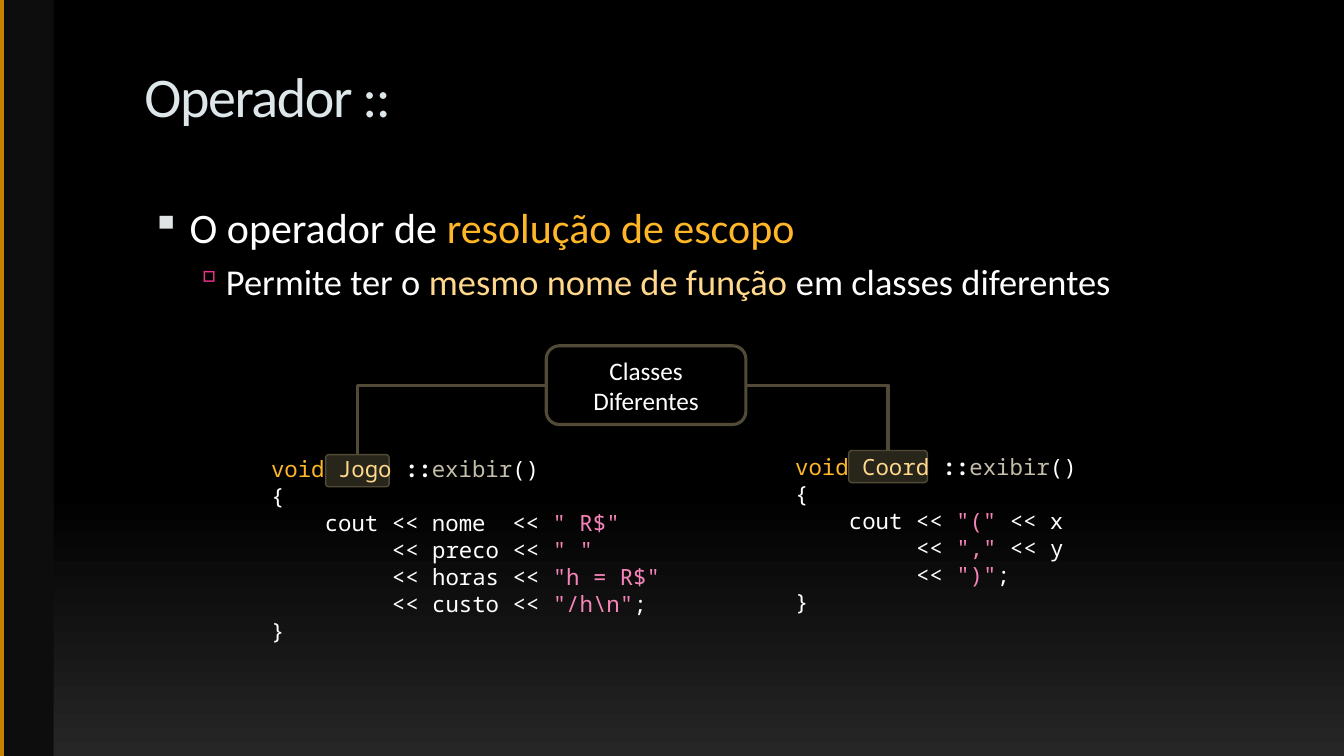
"""Build the slide about the C++ scope resolution operator."""
import pptx
import pptx.dml.color
import pptx.enum.dml
import pptx.enum.shapes
import pptx.enum.text
import pptx.oxml
import pptx.oxml.ns
import pptx.util
from lxml import etree

Pt = pptx.util.Pt
SHAPE = pptx.enum.shapes.MSO_SHAPE
ANCHOR = pptx.enum.text.MSO_ANCHOR
qn = pptx.oxml.ns.qn
COLORS = {
    "black": "000000", "gray": "262626", "panel": "0D0D0D", "stripe": "C58300",
    "title": "DDE6E8", "white": "FFFFFF", "amber": "FFB728", "cream": "FFD88B",
    "olive": "504A36", "sand": "C4BEA9", "pink": "F684B8",
    "bullet": "E0E4E5", "subbullet": "F03288",
}
CHAR = 9.6


def rgb(name):
    return pptx.dml.color.RGBColor.from_string(COLORS[name])


def add_runs(p, runs, font, size):
    for text, color in runs:
        r = p.add_run()
        r.text = text
        r.font.color.rgb = rgb(color)
        for key, value in {"name": font, "size": Pt(size), "bold": text == "::"}.items():
            setattr(r.font, key, value)


prs = pptx.Presentation()
prs.slide_width, prs.slide_height = Pt(960), Pt(540)
s = prs.slides.add_slide(prs.slide_layouts[5])

fill = s.background.fill
fill.gradient()
fill.gradient_angle = 270
for stop, (position, color) in zip(fill.gradient_stops, [(0.65, "black"), (1, "gray")]):
    stop.position = position
    stop.color.rgb = rgb(color)

panel = s.shapes.add_shape(SHAPE.RECTANGLE, Pt(0), Pt(0), Pt(38.4), Pt(540))
panel.shadow.inherit = False
panel.fill.solid()
panel.fill.fore_color.rgb = rgb("panel")
panel.line.fill.background()

stripe = s.shapes.add_connector(pptx.enum.shapes.MSO_CONNECTOR.STRAIGHT, Pt(1.5), Pt(0), Pt(1.5), Pt(540))
stripe.line.color.rgb = rgb("stripe")
stripe.line.width = Pt(3)
etree.SubElement(stripe.element.spPr, qn("a:effectLst"))

title = s.shapes.title
title.left, title.top, title.width, title.height = Pt(96), Pt(40.3), Pt(684.7), Pt(72)
tf = title.text_frame
tf.vertical_anchor = ANCHOR.TOP
p = tf.paragraphs[0]
p.alignment = pptx.enum.text.PP_ALIGN.LEFT
add_runs(p, [("Operador ::", "title")], "Calibri", 40)
p.runs[0].font.element.set("spc", "-100") if hasattr(p.runs[0].font, "element") else \
    p.runs[0]._r.get_or_add_rPr().set("spc", "-100")

points = [
    (0, 32.4, -27.4, 7, 30, "▪", "bullet", 95,
     [("O operador de ", "white"), ("resolução de escopo", "amber")]),
    (1, 58.3, -22.3, 5.2, 26, "▫", "subbullet", 90,
     [("Permite ter o ", "white"), ("mesmo nome de função", "cream"),
      (" em classes diferentes", "white")]),
]
body = s.shapes.add_textbox(Pt(96), Pt(140.4), Pt(815.8), Pt(360))
tf = body.text_frame
tf.word_wrap = True
for level, margin, indent, before, size, char, color, scale, runs in points:
    p = tf.add_paragraph() if level else tf.paragraphs[0]
    p.level = level
    p.space_before = Pt(before)
    add_runs(p, runs, "Calibri", size)
    pPr = p._p.get_or_add_pPr()
    pPr.set("marL", str(Pt(margin)))
    pPr.set("indent", str(Pt(indent)))
    buClr = etree.SubElement(pPr, qn("a:buClr"))
    etree.SubElement(buClr, qn("a:srgbClr")).set("val", COLORS[color])
    etree.SubElement(pPr, qn("a:buSzPct")).set("val", str(scale * 1000))
    etree.SubElement(pPr, qn("a:buChar")).set("char", char)

box = s.shapes.add_shape(SHAPE.ROUNDED_RECTANGLE, Pt(390.2), Pt(247), Pt(142.6), Pt(56.2))
box.shadow.inherit = False
box.fill.background()
box.line.color.rgb = rgb("olive")
box.line.width = Pt(2.25)
tf = box.text_frame
tf.word_wrap = True
p = tf.paragraphs[0]
p.alignment = pptx.enum.text.PP_ALIGN.CENTER
add_runs(p, [("Classes Diferentes", "white")], "Calibri", 18)

methods = [
    ("Jogo ", 1, (232.6, 324.7, 45.4), (186.5, 321.8, 143.3), [
        (4, [("cout << nome  << ", "white"), ('" R$"', "pink")]),
        (9, [("<< preco << ", "white"), ('" "', "pink")]),
        (9, [("<< horas << ", "white"), ('"h = R$"', "pink")]),
        (9, [("<< custo << ", "white"), ('"/h\\n"', "pink"), (";", "white")]),
    ]),
    ("Coord ", 3, (606.2, 321.8, 56.2), (560.9, 320.4, 123.8), [
        (4, [("cout << ", "white"), ('"("', "pink"), (" << x", "white")]),
        (9, [("<< ", "white"), ('","', "pink"), (" << y", "white")]),
        (9, [("<< ", "white"), ('")"', "pink"), (";", "white")]),
    ]),
]
for name, side, (tag_x, tag_y, tag_w), (x, y, height), statements in methods:
    tag = s.shapes.add_shape(SHAPE.ROUNDED_RECTANGLE, Pt(tag_x), Pt(tag_y), Pt(tag_w), Pt(23))
    tag.shadow.inherit = False
    tag.adjustments[0] = 0.1
    tag.fill.solid()
    tag.fill.fore_color.rgb = rgb("olive")
    tint = tag.element.spPr.find(qn("a:solidFill")).find(qn("a:srgbClr"))
    etree.SubElement(tint, qn("a:alpha")).set("val", "50000")
    tag.line.color.rgb = rgb("olive")
    tag.line.width = Pt(1)

    link = s.shapes.add_connector(pptx.enum.shapes.MSO_CONNECTOR.ELBOW, Pt(0), Pt(0), Pt(9), Pt(9))
    link.begin_connect(box, side)
    link.end_connect(tag, 0)
    link.element.spPr.find(qn("a:prstGeom")).set("prst", "bentConnector2")
    link.line.color.rgb = rgb("olive")
    link.line.width = Pt(2.25)
    etree.SubElement(link.element.spPr, qn("a:effectLst"))

    code = s.shapes.add_textbox(Pt(x), Pt(y), Pt(293.8), Pt(height))
    tf = code.text_frame
    tf.word_wrap = True
    header = [("void ", "amber"), (name, "cream"), ("::", "white"), ("exibir", "sand"), ("()", "white")]
    lines = [(0, header), (0, [("{", "white")]), *statements, (0, [("}", "white")])]
    for i, (columns, runs) in enumerate(lines):
        p = tf.add_paragraph() if i else tf.paragraphs[0]
        p._p.get_or_add_pPr().set("marL", str(Pt(columns * CHAR)))
        add_runs(p, runs, "Noto Sans Mono", 16)

prs.save("out.pptx")
